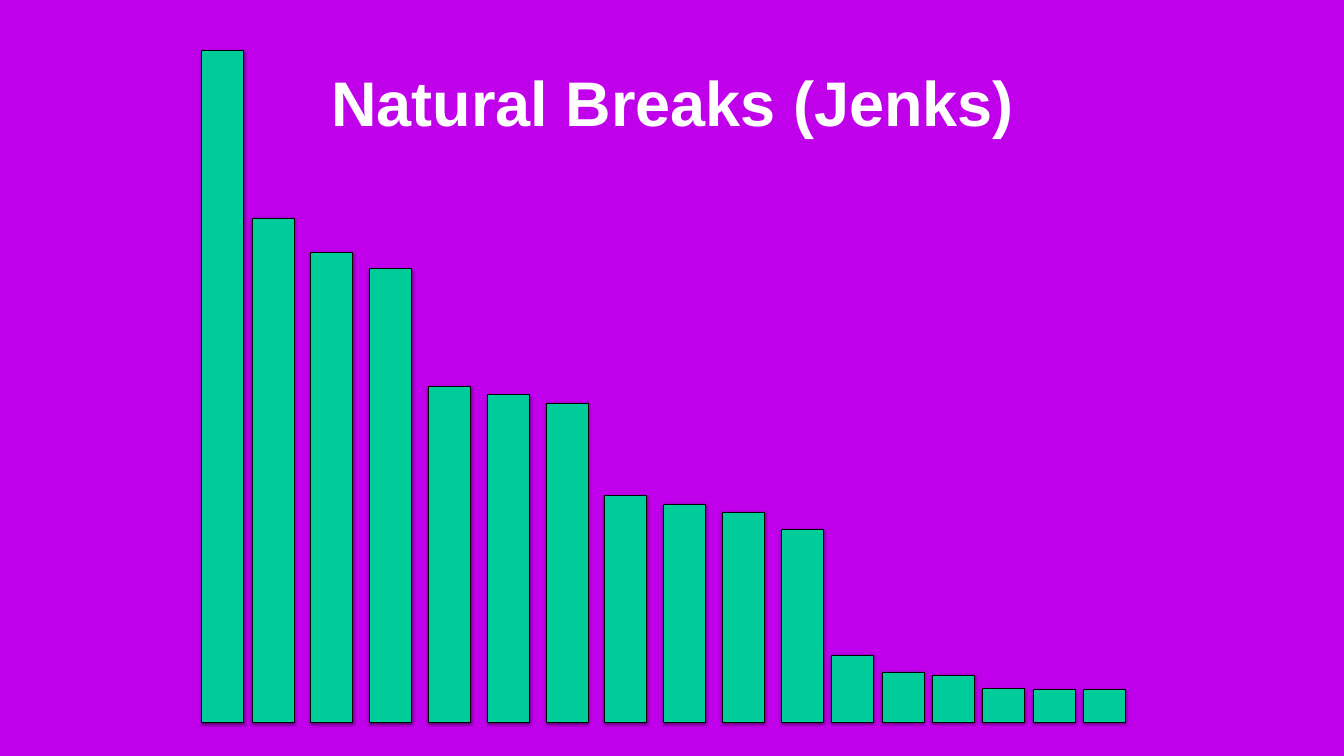
from itertools import accumulate

from lxml import etree
from pptx import Presentation
from pptx import util as u
from pptx.dml.color import RGBColor
from pptx.enum import shapes, text
from pptx.oxml import parse_xml
from pptx.oxml.ns import nsdecls

PX = u.Inches(1) // 60
COLORS = {"page": "C000EB", "bar": "00CC99", "edge": "000000", "title": "FFFFFF"}
BAR_HEIGHTS = [800, 600, 560, 540, 400, 390, 380, 270, 260, 250, 230,
               80, 60, 56, 40, 39, 39]
BAR_STEPS = [0, 60] + [70] * 9 + [60] * 6
BAR_WIDTH = 50


def px(length):
    """Turn whole px into EMU."""
    return u.Emu(length * PX)


def color(name):
    """Look up a named colour."""
    return RGBColor.from_string(COLORS[name])


def add_shadow(shape):
    """Give a shape a soft shadow straight below it."""
    shape.shadow.inherit = False
    effects = shape._element.spPr.find("{*}effectLst")
    shadow = parse_xml(
        f'<a:outerShdw {nsdecls("a")} blurRad="{u.Pt(5)}" dist="{u.Pt(2)}" '
        f'dir="5400000" rotWithShape="0"><a:srgbClr val="{COLORS["edge"]}">'
        '<a:alpha val="50000"/></a:srgbClr></a:outerShdw>')
    etree.SubElement(effects, shadow.tag, shadow.attrib).extend(list(shadow))


def place_title(page, left, top, width, height):
    """Fill and format the title placeholder."""
    title = page.shapes.title
    title.left, title.top, title.width, title.height = map(
        px, (left, top, width, height))
    box = title.text_frame
    box.text = "Natural Breaks (Jenks)"
    box.word_wrap = True
    box.auto_size = text.MSO_AUTO_SIZE.NONE
    box.vertical_anchor = text.MSO_ANCHOR.MIDDLE
    box.margin_left = box.margin_right = px(5)
    box.margin_top = box.margin_bottom = px(5)
    para = box.paragraphs[0]
    para.alignment = text.PP_ALIGN.CENTER
    para.font.name = "Arial"
    para.font.size = u.Pt(90)
    para.font.bold = True
    para.font.color.rgb = color("title")


def place_bars(page, left, top, height):
    """Stand the sorted bars on the bottom edge of the given box."""
    for offset, bar_height in zip(accumulate(BAR_STEPS), BAR_HEIGHTS):
        bar = page.shapes.add_shape(
            shapes.MSO_SHAPE.RECTANGLE, px(left + offset),
            px(top + height - bar_height), px(BAR_WIDTH), px(bar_height))
        bar.fill.solid()
        bar.fill.fore_color.rgb = color("bar")
        bar.line.color.rgb = color("edge")
        bar.line.width = u.Pt(1)
        add_shadow(bar)


def main():
    """Build the slide and save it."""
    deck = Presentation()
    deck.slide_width, deck.slide_height = px(1600), px(900)
    page = deck.slides.add_slide(deck.slide_layouts[5])
    page.background.fill.solid()
    page.background.fill.fore_color.rgb = color("page")
    place_title(page, 271, 22, 1060, 198)
    place_bars(page, 240, 60, 800)
    deck.save("out.pptx")


if __name__ == "__main__":
    main()
